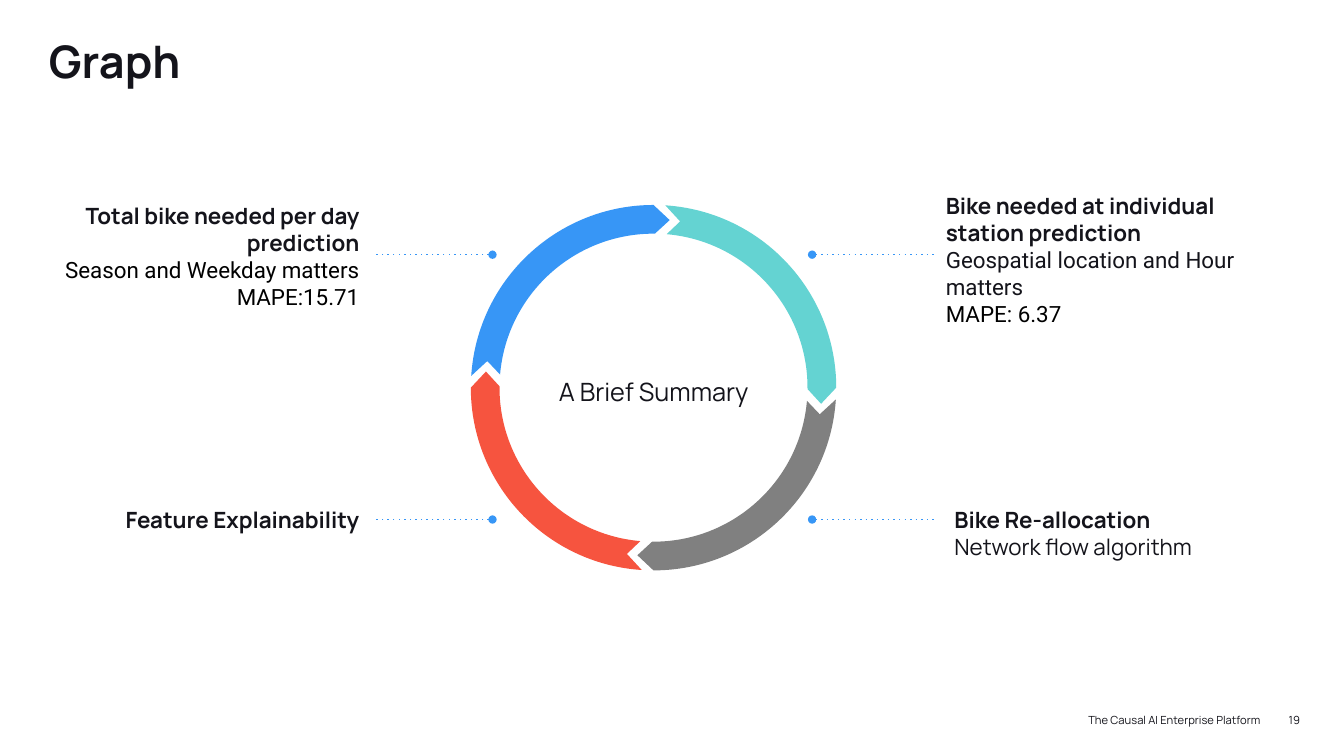
import math
from dataclasses import dataclass

import pptx
import pptx.dml.color
import pptx.enum.shapes
import pptx.enum.text
import pptx.oxml.ns
import pptx.util
from lxml import etree

LEFT = pptx.enum.text.PP_ALIGN.LEFT
CENTER = pptx.enum.text.PP_ALIGN.CENTER
RIGHT = pptx.enum.text.PP_ALIGN.RIGHT


@dataclass(frozen=True)
class Theme:
    ink: str = "14141B"
    black: str = "000000"
    blue: str = "3796F6"
    teal: str = "64D3D2"
    gray: str = "808080"
    red: str = "F6543F"
    font: str = "Manrope"
    detail_font: str = "Roboto"
    title_size: int = 32
    center_size: int = 18
    body_size: int = 16
    footer_size: int = 8


def write_text(paragraph, text, *, font, size, color, bold=False, align=LEFT, spacing=None):
    paragraph.alignment = align
    if spacing:
        paragraph.line_spacing = spacing
    run = paragraph.add_run()
    run.text = text
    run.font.name = font
    run.font.size = pptx.util.Pt(size)
    run.font.bold = bold
    run.font.color.rgb = pptx.dml.color.RGBColor.from_string(color)


def bend_segments(shape, first_lines):
    """Turn each run of three line segments that starts at a given index into one curve."""
    lines = list(shape.element.iter(pptx.oxml.ns.qn("a:lnTo")))
    for first in first_lines:
        curve = etree.Element(pptx.oxml.ns.qn("a:cubicBezTo"))
        lines[first].addprevious(curve)
        for line in lines[first:first + 3]:
            curve.append(line[0])
            line.getparent().remove(line)


class SlideBuilder:
    def __init__(self, slide, theme):
        self.slide = slide
        self.theme = theme

    def text_box(self, left, top, width, height, lines, **common):
        """Add a box; each line is a text and the format that differs from common."""
        box = self.slide.shapes.add_textbox(*map(pptx.util.Pt, (left, top, width, height)))
        frame = box.text_frame
        frame.word_wrap = True
        frame.margin_left = frame.margin_right = frame.margin_top = frame.margin_bottom = 0
        style = dict(font=self.theme.font, size=self.theme.body_size, color=self.theme.ink)
        for index, (text, changes) in enumerate(lines):
            paragraph = frame.add_paragraph() if index else frame.paragraphs[0]
            write_text(paragraph, text, **{**style, **common, **changes})

    def ring_arrow(self, center, inner, outer, turn, color):
        """Add a quarter-ring arrow; angles run clockwise from the top, in degrees."""
        middle = (inner + outer) / 2

        def point(radius, degrees, along=0):
            angle = math.radians(degrees + turn)
            across, down = math.sin(angle), -math.cos(angle)
            return (pptx.util.Pt(center[0] + radius * across - along * down),
                    pptx.util.Pt(center[1] + radius * down + along * across))

        def arc(radius, start, end):
            handle = radius * 4 / 3 * math.tan(math.radians(end - start) / 4)
            return [point(radius, start), point(radius, start, handle),
                    point(radius, end, -handle), point(radius, end)]

        outline = arc(outer, 3.7, 90) + [point(middle, 95.5)]
        outline += arc(inner, 90.5, 4.9) + [point(middle, 9.1)]
        builder = self.slide.shapes.build_freeform(*outline[0], scale=1.0)
        builder.add_line_segments(outline[1:], close=True)
        shape = builder.convert_to_shape()
        bend_segments(shape, (0, 5))
        shape.shadow.inherit = False
        shape.fill.solid()
        shape.fill.fore_color.rgb = pptx.dml.color.RGBColor.from_string(color)
        shape.line.fill.background()

    def dotted_pointer(self, start, end, top):
        """Add a dotted line with a round head at its start."""
        connector = self.slide.shapes.add_connector(
            pptx.enum.shapes.MSO_CONNECTOR.STRAIGHT,
            *map(pptx.util.Pt, (start, top, end, top)))
        connector.line.width = pptx.util.Pt(1)
        connector.line.color.rgb = pptx.dml.color.RGBColor.from_string(self.theme.blue)
        properties = connector.element.spPr
        line = properties.find(pptx.oxml.ns.qn("a:ln"))
        etree.SubElement(line, pptx.oxml.ns.qn("a:prstDash"), val="dot")
        etree.SubElement(line, pptx.oxml.ns.qn("a:headEnd"), type="oval")
        etree.SubElement(properties, pptx.oxml.ns.qn("a:effectLst"))


def main():
    presentation = pptx.Presentation()
    presentation.slide_width = pptx.util.Pt(960)
    presentation.slide_height = pptx.util.Pt(540)
    theme = Theme()
    slide = presentation.slides.add_slide(presentation.slide_layouts[6])
    builder = SlideBuilder(slide, theme)

    builder.text_box(34.9, 28.1, 890.6, 73.4, [("Graph", {})],
                     size=theme.title_size, bold=True, spacing=0.9)

    for index, color in enumerate((theme.teal, theme.gray, theme.red, theme.blue)):
        builder.ring_arrow((466.8, 276.9), 110, 130.5, index * 90, color)
    builder.text_box(375.8, 262.1, 182.2, 28.8, [("A Brief Summary", {})],
                     size=theme.center_size, align=CENTER, spacing=1.31)

    for top in (181.9, 371.1):
        for start, end in ((580.1, 667.2), (351.8, 268.4)):
            builder.dotted_pointer(start, end, top)

    heading = dict(bold=True)
    detail = dict(font=theme.detail_font)
    black_detail = dict(font=theme.detail_font, color=theme.black)
    builder.text_box(34.9, 144.3, 221.8, 77.8, [
        ("Total bike needed per day prediction", heading),
        ("Season and Weekday matters", black_detail),
        ("MAPE:15.71", black_detail),
    ], align=RIGHT)
    builder.text_box(675.6, 137.5, 215.3, 97.2, [
        ("Bike needed at individual station prediction", heading),
        ("Geospatial location and Hour matters", detail),
        ("MAPE: 6.37", black_detail),
    ])
    builder.text_box(65.8, 361.4, 190.8, 19.4,
                     [("Feature Explainability", heading)], align=RIGHT)
    builder.text_box(681.8, 361.4, 213.1, 38.9, [
        ("Bike Re-allocation", heading),
        ("Network flow algorithm", {}),
    ])

    for left, width, text in ((639.2, 261.4, "The Causal AI Enterprise Platform"),
                              (891.2, 37.4, "19")):
        builder.text_box(left, 509.8, width, 14.4, [(text, {})],
                         size=theme.footer_size, align=RIGHT)

    presentation.save("out.pptx")


if __name__ == "__main__":
    main()
